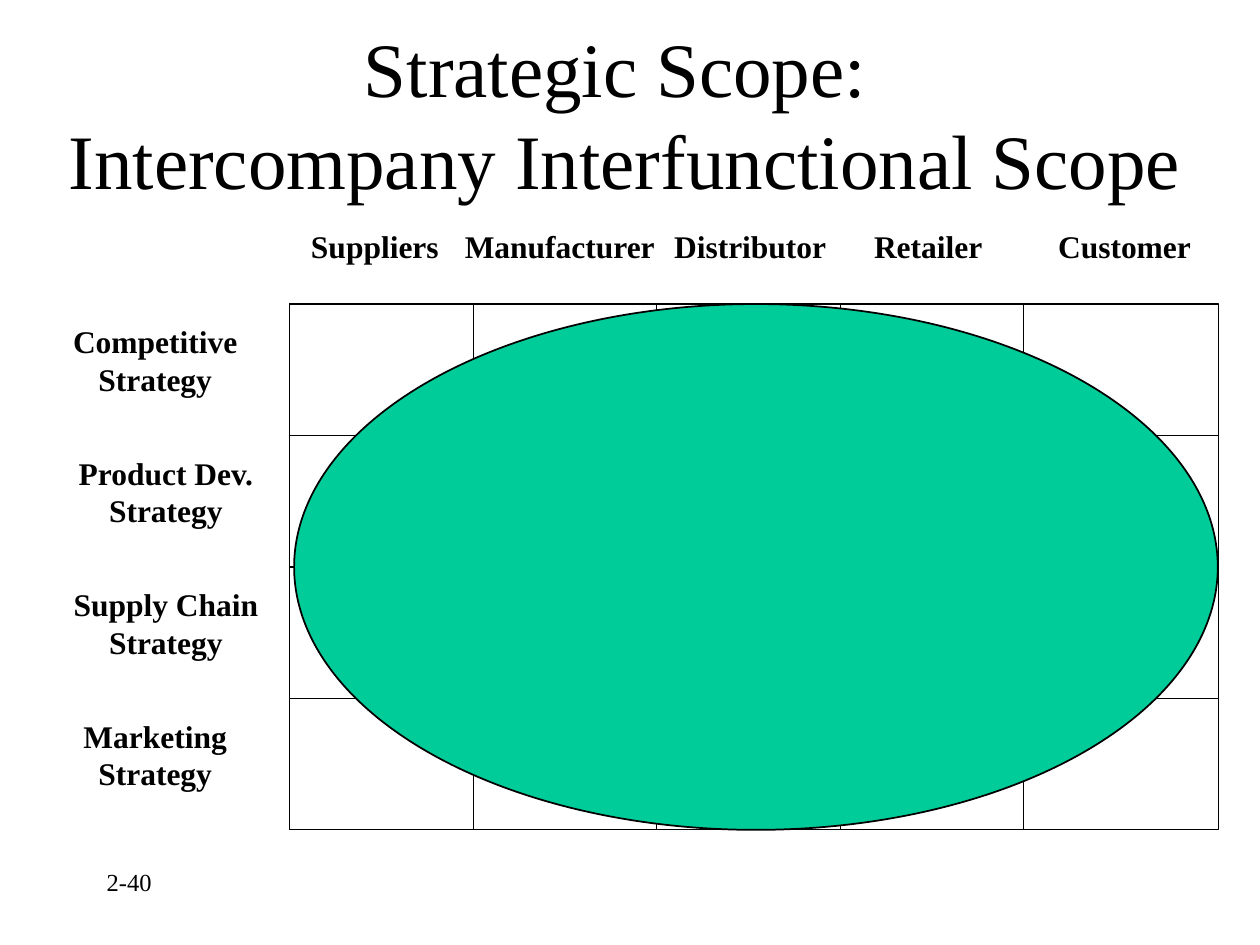
from pptx import Presentation
from pptx.dml.color import RGBColor
from pptx.enum.shapes import MSO_SHAPE
from pptx.enum.text import MSO_ANCHOR, MSO_AUTO_SIZE, PP_ALIGN
from pptx.util import Cm, Pt

RECTANGLE, OVAL = MSO_SHAPE.RECTANGLE, MSO_SHAPE.OVAL
MIDDLE = MSO_ANCHOR.MIDDLE
NO_AUTOFIT, GROW = MSO_AUTO_SIZE.NONE, MSO_AUTO_SIZE.SHAPE_TO_FIT_TEXT
LEFT, CENTER = PP_ALIGN.LEFT, PP_ALIGN.CENTER

FONT = "Times New Roman"
BLACK, GREEN = "000000", "00CC99"
TITLE_LINES = ["Strategic Scope: ", "Intercompany Interfunctional Scope"]
# Stage name, offset from the grid's left edge and width in cm
STAGES = [
    ("Suppliers", 0.18, 3.12),
    ("Manufacturer", 3.28, 4.34),
    ("Distributor", 7.5, 3.58),
    ("Retailer", 11.53, 2.69),
    ("Customer", 15.24, 3.18),
]
# Strategy name and label width in cm
STRATEGIES = [
    ("Competitive Strategy", 4.14),
    ("Product Dev. Strategy", 4.57),
    ("Supply Chain Strategy", 4.57),
    ("Marketing Strategy", 4.14),
]
ROW_HEIGHT = 2.65
COLUMN_WIDTH = 3.7


def color(value):
    return RGBColor.from_string(value)


def add_run(paragraph, text, size, bold=False):
    run = paragraph.add_run()
    run.text = text
    run.font.name = FONT
    run.font.size = Pt(size)
    run.font.bold = bold
    run.font.color.rgb = color(BLACK)


def add_label(slide, text, box, size, bold=False, align=LEFT, wrap=True):
    frame = slide.shapes.add_textbox(*map(Cm, box)).text_frame
    frame.word_wrap = wrap
    frame.auto_size = NO_AUTOFIT if wrap else GROW
    paragraph = frame.paragraphs[0]
    paragraph.alignment = align
    add_run(paragraph, text, size, bold)


def add_outline(slide, kind, box, line_width, fill=None):
    shape = slide.shapes.add_shape(kind, *map(Cm, box))
    shape.shadow.inherit = False
    if fill:
        shape.fill.solid()
        shape.fill.fore_color.rgb = color(fill)
    else:
        shape.fill.background()
    shape.line.color.rgb = color(BLACK)
    shape.line.width = Pt(line_width)


def place_title(slide, box):
    title = slide.shapes.title
    title.left, title.top, title.width, title.height = map(Cm, box)
    frame = title.text_frame
    frame.word_wrap = True
    frame.auto_size = NO_AUTOFIT
    frame.vertical_anchor = MIDDLE
    paragraph = frame.paragraphs[0]
    paragraph.alignment = CENTER
    for index, line in enumerate(TITLE_LINES):
        if index:
            paragraph.add_line_break()
        add_run(paragraph, line, 44)


def draw_grid(slide, box):
    """Draw full-width rows and full-height columns; the last column stays open."""
    left, top, width, height = box
    for row in range(len(STRATEGIES)):
        row_box = (left, top + row * ROW_HEIGHT, width, ROW_HEIGHT)
        add_outline(slide, RECTANGLE, row_box, 0.75)
    for column in range(len(STAGES) - 1):
        column_box = (left + column * COLUMN_WIDTH, top, COLUMN_WIDTH, height)
        add_outline(slide, RECTANGLE, column_box, 0.75)


def label_grid(slide, box):
    left, top, _, _ = box
    for stage, offset, width in STAGES:
        stage_box = (left + offset, top - 1.68, width, 1.02)
        add_label(slide, stage, stage_box, 18, bold=True, wrap=False)
    for row, (strategy, width) in enumerate(STRATEGIES):
        strategy_box = (left - 4.78, top + 0.24 + row * ROW_HEIGHT, width, 1.78)
        add_label(slide, strategy, strategy_box, 18, bold=True, align=CENTER)


def draw_scope(slide, box):
    """Cover the grid with the oval that marks the strategic scope."""
    left, top, width, height = box
    add_outline(slide, OVAL, (left + 0.09, top, width - 0.1, height), 1, GREEN)


def main():
    presentation = Presentation()
    presentation.slide_width, presentation.slide_height = Cm(25.4), Cm(19.05)
    slide = presentation.slides.add_slide(presentation.slide_layouts[5])

    grid_box = (5.84, 6.13, 18.72, ROW_HEIGHT * len(STRATEGIES))
    add_label(slide, "2-40", (1.9, 17.35, 5.28, 1.27), 14)
    place_title(slide, (1.07, 0.74, 23.06, 3.07))
    draw_grid(slide, grid_box)
    label_grid(slide, grid_box)
    draw_scope(slide, grid_box)

    presentation.save("out.pptx")


if __name__ == "__main__":
    main()
